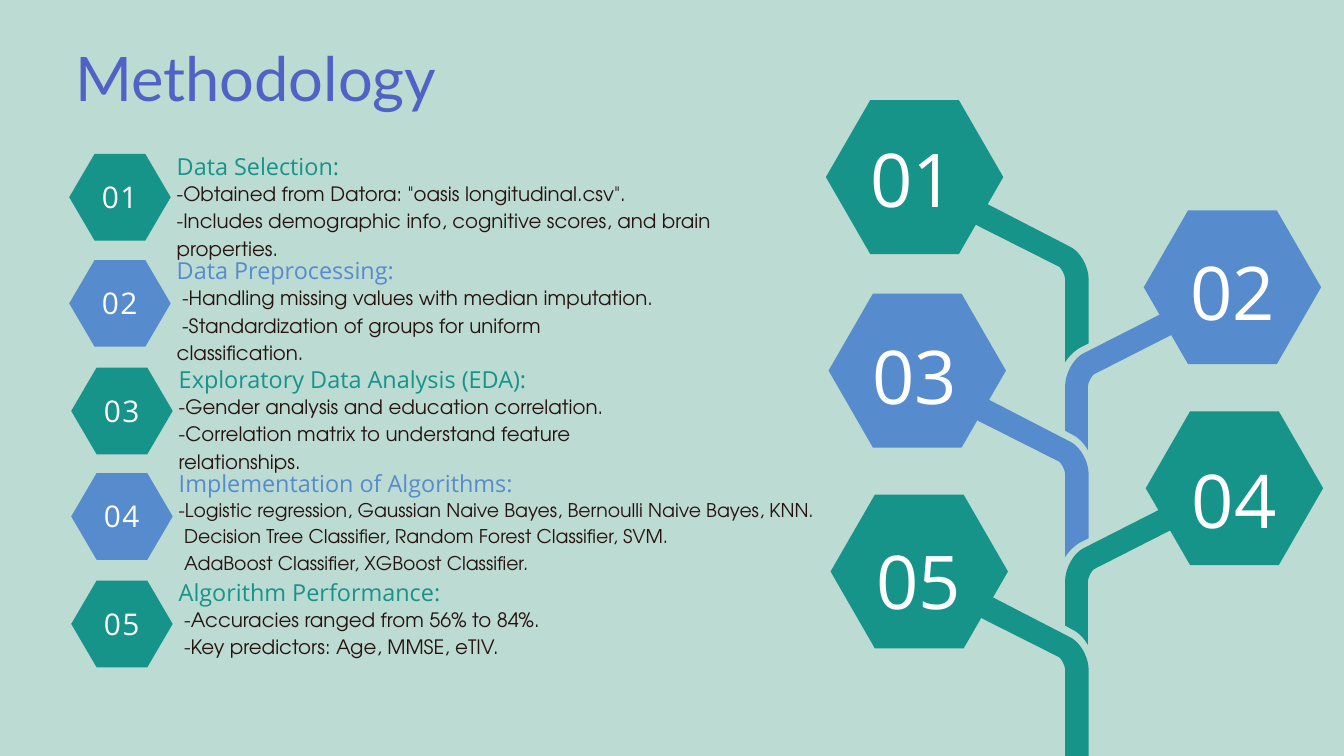
from pptx import Presentation
from pptx.dml.color import RGBColor
from pptx.enum.shapes import MSO_SHAPE
from pptx.enum.text import MSO_ANCHOR, PP_ALIGN
from pptx.util import Pt

PX = 9144  # 100 px to the inch
TEAL, BLUE, WHITE = "16948A", "568CCD", "FFFFFF"
INK, VIOLET, MINT = "261310", "5062C6", "BCDBD3"
HEAD_FONT, BODY_FONT, TITLE_FONT = "Open Sans", "TeX Gyre Adventor", "Lato"
INDENT = 8

# number, colour, left, badge top, heading top, heading, body width, body size, lines (indented, text)
STEPS = [
    ("01", TEAL, 103, 229, 219, "Data Selection:", 904, 21.2, [
        (False, '-Obtained from Datora: "oasis longitudinal.csv".'),
        (False, "-Includes demographic info, cognitive scores, and brain properties.")]),
    ("02", BLUE, 103, 387, 374, "Data Preprocessing:", 736, 21.2, [
        (True, "-Handling missing values with median imputation."),
        (True, "-Standardization of groups for uniform classification.")]),
    ("03", TEAL, 106, 547, 536, "Exploratory Data Analysis (EDA):", 736, 21.2, [
        (False, "-Gender analysis and education correlation."),
        (False, "-Correlation matrix to understand feature relationships.")]),
    ("04", BLUE, 106, 704, 691, "Implementation of Algorithms:", 1012, 20.2, [
        (False, "-Logistic regression, Gaussian Naive Bayes, Bernoulli Naive Bayes, KNN."),
        (True, "Decision Tree Classifier, Random Forest Classifier, SVM."),
        (True, "AdaBoost Classifier, XGBoost Classifier.")]),
    ("05", TEAL, 106, 864, 853, "Algorithm Performance:", 736, 21.2, [
        (True, "-Accuracies ranged from 56% to 84%."),
        (True, "-Key predictors: Age, MMSE, eTIV.")]),
]

# number, colour, hexagon left and top, label left and top
LEAVES = [
    ("01", TEAL, 1229, 149, 1246, 177),
    ("02", BLUE, 1702, 313, 1722, 344),
    ("03", BLUE, 1233, 437, 1249, 469),
    ("04", TEAL, 1705, 612, 1724, 654),
    ("05", TEAL, 1236, 736, 1255, 774),
]

# Outlines: a pair is a corner, six numbers are a cubic curve
LEFT_TOP = [(136, 113), (136, 107, 131, 97, 127, 94), (0, 30), (8, 22, 15, 12, 19, 0),
            (143, 64), (158, 71, 171, 93, 171, 113)]
LEFT_BRANCH = [(171, 113), (171, 208), (159, 214), (150, 219, 142, 227, 136, 236)] + LEFT_TOP
TRUNK = [(171, 113), (171, 241), (136, 241)] + LEFT_TOP
RIGHT_BRANCH = [(171, 29), (43, 94), (39, 97, 34, 107, 34, 112), (34, 207),
                (29, 198, 21, 189, 11, 184), (0, 178), (0, 112),
                (0, 93, 12, 71, 27, 63), (151, 0), (156, 11, 162, 21, 171, 29)]
BRANCHES = [
    (LEFT_BRANCH, BLUE, 1449, 593),
    (LEFT_BRANCH, TEAL, 1449, 303),
    (TRUNK, TEAL, 1449, 884),
    (RIGHT_BRANCH, BLUE, 1585, 463),
    (RIGHT_BRANCH, TEAL, 1585, 753),
]


def rgb(color):
    return RGBColor.from_string(color)


def paint(sp, color):
    sp.shadow.inherit = False
    sp.fill.solid()
    sp.fill.fore_color.rgb = rgb(color)
    sp.line.fill.background()


def flatten(outline, steps=10):
    """Turn corners and cubic curves into one list of points."""
    points = []
    for part in outline:
        if len(part) == 2:
            points.append(part)
            continue
        curve = [points[-1], part[:2], part[2:4], part[4:]]
        for i in range(1, steps + 1):
            t = i / steps
            weights = ((1 - t) ** 3, 3 * t * (1 - t) ** 2, 3 * t * t * (1 - t), t ** 3)
            points.append(tuple(sum(w * c[axis] for w, c in zip(weights, curve))
                                for axis in (0, 1)))
    return points


def add_branch(shapes, outline, color, x, y):
    points = [(round((x + px) * PX), round((y + py) * PX)) for px, py in flatten(outline)]
    builder = shapes.build_freeform(*points[0], scale=1.0)
    builder.add_line_segments(points[1:], close=True)
    paint(builder.convert_to_shape(), color)


def add_hexagon(shapes, color, x, y, w, h):
    sp = shapes.add_shape(MSO_SHAPE.HEXAGON, x * PX, y * PX, w * PX, h * PX)
    sp.adjustments[0] = 0.25 * w / h
    paint(sp, color)


def add_text(shapes, lines, box, font, size, color, align=PP_ALIGN.LEFT,
             anchor=MSO_ANCHOR.TOP, margin=0, tracking=0):
    """Add a text box; lines are (indented, text) pairs and tracking is in points."""
    tf = shapes.add_textbox(*(v * PX for v in box)).text_frame
    tf.word_wrap = True
    tf.vertical_anchor = anchor
    tf.margin_left = tf.margin_right = tf.margin_top = tf.margin_bottom = margin * PX
    for i, (indented, text) in enumerate(lines):
        p = tf.add_paragraph() if i else tf.paragraphs[0]
        p.text = text
        p.alignment = align
        p.line_spacing = Pt(round(size * 1.4, 1))
        if indented:
            p._p.get_or_add_pPr().set("indent", str(INDENT * PX))
        r = p.runs[0]
        r.font.name = font
        r.font.size = Pt(size)
        r.font.color.rgb = rgb(color)
        if tracking:
            r._r.get_or_add_rPr().set("spc", str(round(tracking * 100)))


def main():
    prs = Presentation()
    prs.slide_width, prs.slide_height = 2000 * PX, 1125 * PX
    s = prs.slides.add_slide(prs.slide_layouts[6])
    s.background.fill.solid()
    s.background.fill.fore_color.rgb = rgb(MINT)
    shapes = s.shapes

    for branch in BRANCHES:
        add_branch(shapes, *branch)
    for number, color, x, y, label_x, label_y in LEAVES:
        add_hexagon(shapes, color, x, y, 264, 229)
        add_text(shapes, [(False, number)], (label_x, label_y, 225, 149),
                 HEAD_FONT, 79.4, WHITE, PP_ALIGN.CENTER)

    add_text(shapes, [(False, "Methodology")], (112, 42, 831, 123), TITLE_FONT, 65.8, VIOLET)

    for number, color, x, y, head_y, heading, width, size, lines in STEPS:
        add_hexagon(shapes, color, x, y, 151, 129)
        add_text(shapes, [(False, number)], (x + 21, y - 11, 108, 140), HEAD_FONT, 32, WHITE,
                 PP_ALIGN.CENTER, MSO_ANCHOR.MIDDLE, margin=6, tracking=1.6)
        add_text(shapes, [(False, heading)], (x + 160, head_y, 612, 47), HEAD_FONT, 25.1, color)
        add_text(shapes, lines, (x + 160, head_y + 45, width, 40 * len(lines) + 41),
                 BODY_FONT, size, INK)

    prs.save("out.pptx")


if __name__ == "__main__":
    main()
